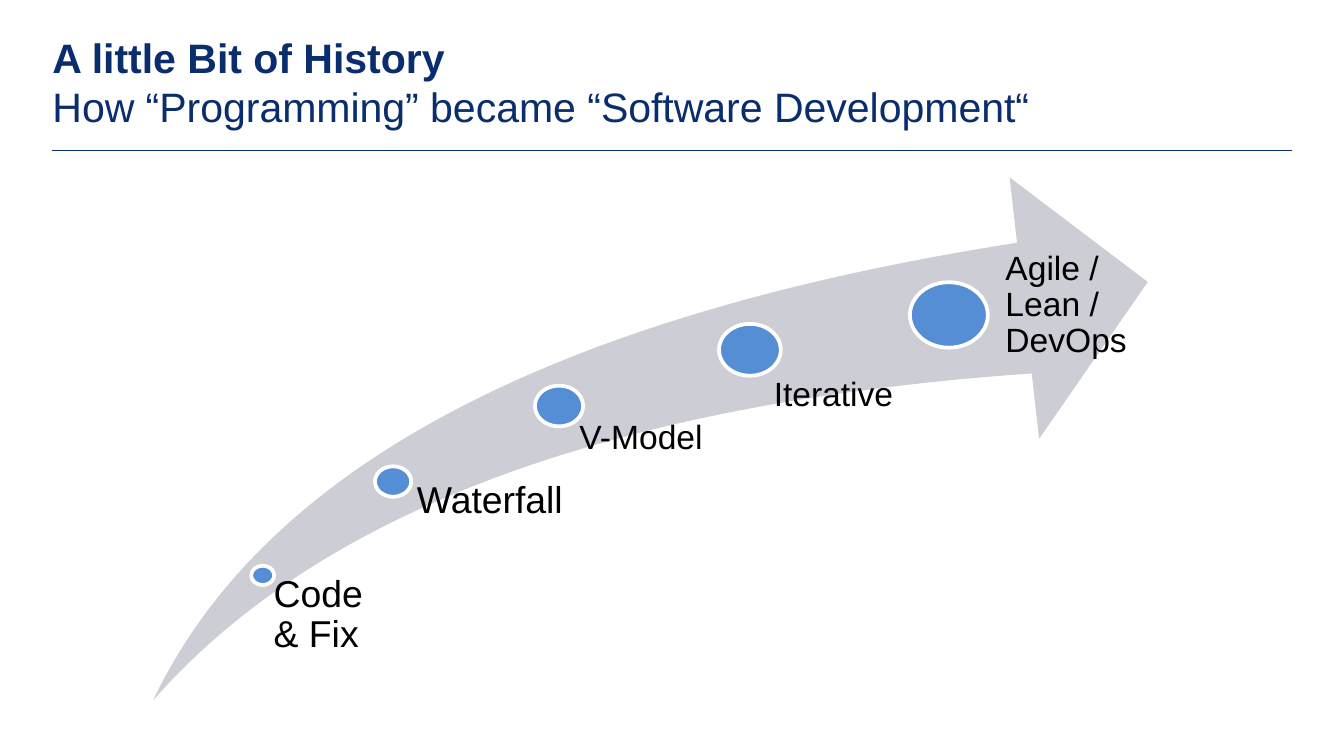
from pptx import Presentation
from pptx.util import Inches, Pt
from pptx.dml.color import RGBColor as RGB
from pptx.enum.shapes import MSO_SHAPE as Shape, MSO_CONNECTOR as Conn
from pptx.enum.text import MSO_ANCHOR as Anchor
from pptx.oxml.ns import qn
from lxml.etree import SubElement as Sub

# Content
TITLE = ("A little Bit of History", "How “Programming” became “Software Development“")

# Stage: text, size, dot (left, top, width), label (left, top, width, height)
STAGES = [
    ("Code & Fix", 20, (1.87, 4.21, 0.17), (1.96, 4.28, 0.97, 0.93)),
    ("Waterfall", 20, (2.79, 3.47, 0.27), (2.98, 3.58, 1.23, 1.63)),
    ("V-Model", 18, (3.98, 2.87, 0.36), (4.15, 3.13, 1.43, 2.19)),
    ("Iterative", 18, (5.35, 2.41, 0.46), (5.55, 2.81, 1.48, 2.61)),
    ("Agile / Lean / DevOps", 18, (6.77, 2.1, 0.58), (7.22, 1.87, 1.48, 2.86)),
]

THEME = {
    "font": "Arial", "title": 22,
    "navy": RGB.from_string("0A2D6E"), "rule": RGB.from_string("072C70"),
    "arrow": RGB.from_string("CCCDD5"), "dot": RGB.from_string("558ED5"),
    "edge": RGB.from_string("FFFFFF"), "text": RGB.from_string("000000"),
}
WIDTH = 10
HEIGHT = WIDTH * 9 / 16
RATIO = 0.84  # dot height to width
INSET = 0.45  # label inset to dot width


def add_text(slide, box, text, size, color, space, left=0):
    frame = slide.shapes.add_textbox(*map(Inches, box)).text_frame
    frame.word_wrap = True
    frame.vertical_anchor = Anchor.TOP
    frame.margin_left = Inches(left)
    frame.margin_top = frame.margin_right = frame.margin_bottom = 0
    par = frame.paragraphs[0]
    par.text = text
    par.line_spacing = space
    for run in par.runs:
        run.font.name = THEME["font"]
        run.font.size = Pt(size)
        run.font.color.rgb = color
    return par


def add_solid(slide, kind, box, color):
    shape = slide.shapes.add_shape(kind, *map(Inches, box))
    shape.shadow.inherit = False
    shape.fill.solid()
    shape.fill.fore_color.rgb = color
    shape.line.fill.background()
    return shape


def main():
    prs = Presentation()
    prs.slide_width, prs.slide_height = Inches(WIDTH), Inches(HEIGHT)
    slide = prs.slides.add_slide(prs.slide_layouts[6])

    # Header
    rule = slide.shapes.add_connector(
        Conn.STRAIGHT, *map(Inches, (0.39, 1.12, 9.61, 1.12)))
    rule.line.color.rgb = THEME["rule"]
    rule.line.width = Pt(0.75)
    Sub(rule.element.spPr, qn("a:effectLst"))
    head = add_text(slide, (0.39, 0.24, 9.21, 0.41), "\v".join(TITLE),
                    THEME["title"], THEME["navy"], 1.0)
    head.runs[0].font.bold = True

    # Arrow of time
    arrow = add_solid(slide, Shape.SWOOSH_ARROW, (1.14, 1.32, 7.4, 3.89),
                      THEME["arrow"])
    arrow.adjustments[0] = arrow.adjustments[1] = 0.25

    # Stages
    for text, size, (left, top, width), box in STAGES:
        dot = add_solid(slide, Shape.OVAL, (left, top, width, width * RATIO),
                        THEME["dot"])
        dot.line.color.rgb = THEME["edge"]
        dot.line.width = Pt(2)
        add_text(slide, box, text, size, THEME["text"], 0.9, width * INSET)

    prs.save("out.pptx")


if __name__ == "__main__":
    main()
